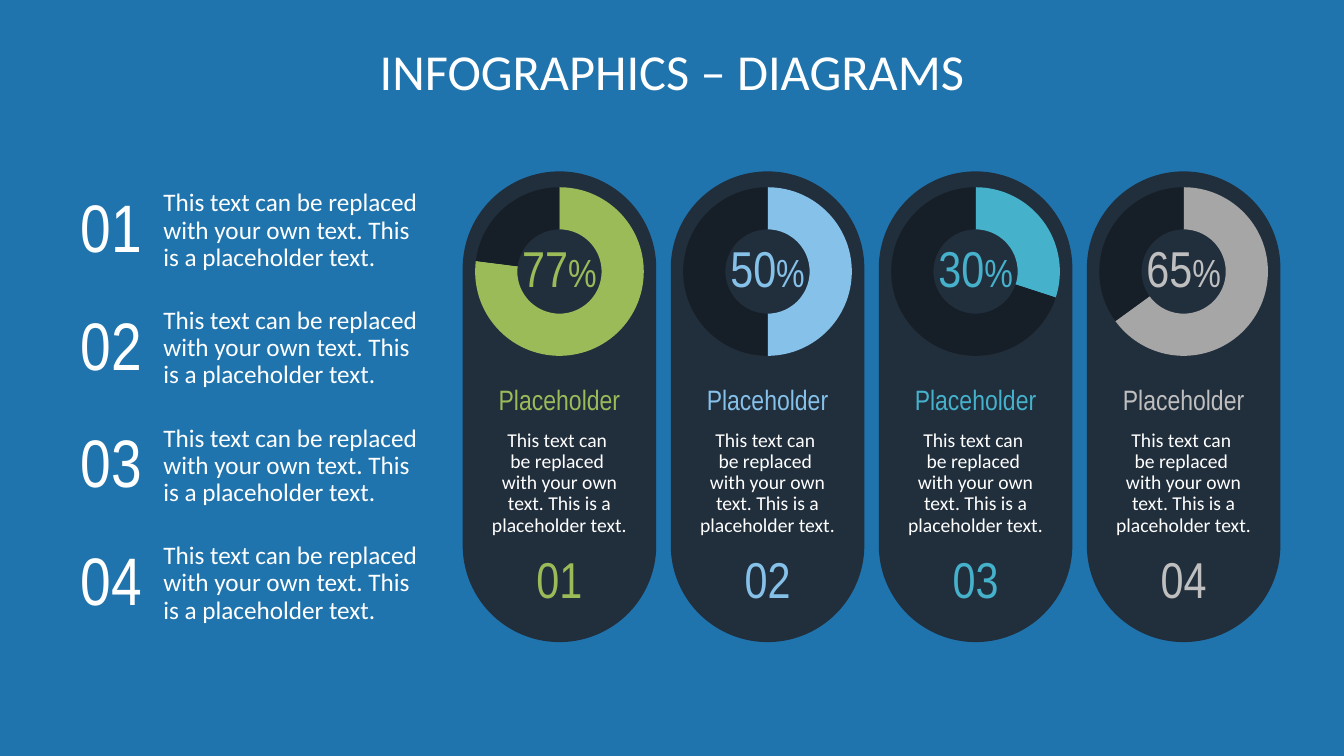
from pptx import Presentation, util as u
from pptx.chart import data as chart_data
from pptx.dml.color import RGBColor
from pptx.enum import chart as chart_enum, shapes, text
from pptx.oxml import parse_xml
from pptx.oxml.ns import nsdecls

COLORS = {
    "background": "1F74AD", "card": "212E3C", "rest": "161F28", "white": "FFFFFF",
    "black": "000000", "green": "9BBB59", "sky": "85C1E9", "teal": "45B1CB",
    "silver": "BFBFBF", "gray": "A6A6A6",
}
BODY, NARROW = "Calibri", "Arial Narrow"
CENTER, LEFT = text.PP_ALIGN.CENTER, text.PP_ALIGN.LEFT
MIDDLE, TOP = text.MSO_ANCHOR.MIDDLE, text.MSO_ANCHOR.TOP

# Lengths are percentages of the slide's width (x) and height (y).
CARDS_LEFT, CARD_WIDTH, CARD_PITCH = 34.43, 14.4, 15.48
CARDS_TOP, CARDS_HEIGHT = 22.67, 62.27
CHART_WIDTH, CHART_HEIGHT, CHART_TOP = 17.93, 26, 22.93
PERCENT_WIDTH, LABEL_HEIGHT = 8.85, 15.73
LIST_LEFT, NUMBER_WIDTH, LIST_WIDTH = 4.43, 6.82, 20.7
LIST_TOP, LIST_PITCH, LIST_HEIGHT = 22.8, 15.56, 15.47

LIST_TEXT = "This text can be replaced \nwith your own text. This is a placeholder text."
CARD_TEXT = "This text can \nbe replaced \nwith your own text. This is a placeholder text."
CARDS = [
    (77, "green", "green"),
    (50, "sky", "sky"),
    (30, "teal", "teal"),
    (65, "silver", "gray"),
]


def rgb(name):
    return RGBColor.from_string(COLORS[name])


def write(paragraph, content, font=BODY, size=18, color="white", align=CENTER, after=10):
    """Append formatted text to a paragraph, turning newlines into line breaks."""
    paragraph.alignment = align
    paragraph.line_spacing = 0.9
    paragraph.space_after = u.Pt(after)
    for index, line in enumerate(content.split("\n")):
        if index:
            paragraph.add_line_break()
        run = paragraph.add_run()
        run.text = line
        run.font.name = font
        run.font.size = u.Pt(size)
        run.font.color.rgb = rgb(color)


class DiagramSlide:
    def __init__(self, presentation):
        self.width, self.height = presentation.slide_width, presentation.slide_height
        self.slide = presentation.slides.add_slide(presentation.slide_layouts[6])
        fill = self.slide.background.fill
        fill.solid()
        fill.fore_color.rgb = rgb("background")

    def x(self, share):
        return u.Emu(round(self.width * share / 100))

    def y(self, share):
        return u.Emu(round(self.height * share / 100))

    def place(self, left, top, width, height):
        return self.x(left), self.y(top), self.x(width), self.y(height)

    def frame(self, shape, anchor, inset_left=0, inset_top=0):
        """Set up the shape's text frame and return its first paragraph."""
        frame = shape.text_frame
        frame.word_wrap = True
        frame.vertical_anchor = anchor
        frame.margin_left, frame.margin_top = self.x(inset_left), self.y(inset_top)
        frame.margin_right = frame.margin_bottom = 0
        return frame.paragraphs[0]

    def label(self, box, content, anchor=MIDDLE, inset_left=0, **style):
        shape = self.slide.shapes.add_textbox(*self.place(*box))
        paragraph = self.frame(shape, anchor, inset_left)
        write(paragraph, content, **style)
        return paragraph

    def pill(self, box, heading, body, color):
        shape = self.slide.shapes.add_shape(
            shapes.MSO_SHAPE.ROUNDED_RECTANGLE, *self.place(*box))
        shape.adjustments[0] = 0.5
        shape.shadow.inherit = False
        shape.fill.solid()
        shape.fill.fore_color.rgb = rgb("card")
        shape.line.fill.background()
        paragraph = self.frame(shape, TOP, inset_top=24.67)
        write(paragraph, heading, font=NARROW, size=20, color=color)
        write(shape.text_frame.add_paragraph(), body, size=14)

    def doughnut(self, box, value, color):
        values = chart_data.CategoryChartData()
        values.categories = ["1", "2"]
        values.add_series("Series 1", (value, 100 - value))
        chart = self.slide.shapes.add_chart(
            chart_enum.XL_CHART_TYPE.DOUGHNUT, *self.place(*box), values).chart
        chart.has_legend = chart.has_title = False
        chart.font.name, chart.font.size = BODY, u.Pt(18)
        chart.font.color.rgb = rgb("black")
        plot = chart.plots[0]
        plot.vary_by_categories = True
        plot.has_data_labels = False
        for index, name in enumerate((color, "rest")):
            form = plot.series[0].points[index].format
            form.fill.solid()
            form.fill.fore_color.rgb = rgb(name)
            form.line.fill.background()
        for hole in chart.element.xpath(".//c:holeSize"):
            hole.set("val", "89")
        area = chart.element.xpath(".//c:plotArea")[0]
        for layout in area.xpath("./c:layout"):
            area.remove(layout)
        parts = "".join(f'<c:{tag} val="{setting}"/>' for tag, setting in (
            ("layoutTarget", "inner"), ("xMode", "edge"), ("yMode", "edge"),
            ("x", 0.15), ("y", 0.07), ("w", 0.7), ("h", 0.86)))
        area.insert(0, parse_xml(
            f'<c:layout {nsdecls("c")}><c:manualLayout>{parts}</c:manualLayout></c:layout>'))

    def card(self, index, value, color, arc_color):
        """Draw a pill with its doughnut, percentage, text and number."""
        left = CARDS_LEFT + index * CARD_PITCH
        middle = left + CARD_WIDTH / 2
        self.pill((left, CARDS_TOP, CARD_WIDTH, CARDS_HEIGHT), "Placeholder", CARD_TEXT, color)
        self.doughnut((middle - CHART_WIDTH / 2, CHART_TOP, CHART_WIDTH, CHART_HEIGHT),
                      value, arc_color)
        percent = self.label((middle - PERCENT_WIDTH / 2, 28, PERCENT_WIDTH, LABEL_HEIGHT),
                             str(value), font=NARROW, size=36, color=color)
        write(percent, "%", font=NARROW, size=28, color=color)
        self.label((left, 69.2, CARD_WIDTH, LABEL_HEIGHT), f"{index + 1:02}",
                   font=NARROW, size=36, color=color)

    def list_item(self, index):
        top = LIST_TOP + index * LIST_PITCH
        self.label((LIST_LEFT + NUMBER_WIDTH, top, LIST_WIDTH, LIST_HEIGHT), LIST_TEXT,
                   inset_left=0.9, align=LEFT)
        self.label((LIST_LEFT, top, NUMBER_WIDTH, LIST_HEIGHT), f"{index + 1:02}",
                   inset_left=0.9, font=NARROW, size=48)


def main():
    presentation = Presentation()
    presentation.slide_width, presentation.slide_height = u.Inches(13.33), u.Inches(7.5)
    slide = DiagramSlide(presentation)
    slide.label((LIST_LEFT, 6.27, 91.15, LABEL_HEIGHT), "INFOGRAPHICS – DIAGRAMS",
                anchor=TOP, size=36, after=0)
    for index, card in enumerate(CARDS):
        slide.card(index, *card)
        slide.list_item(index)
    presentation.save("out.pptx")


if __name__ == "__main__":
    main()
